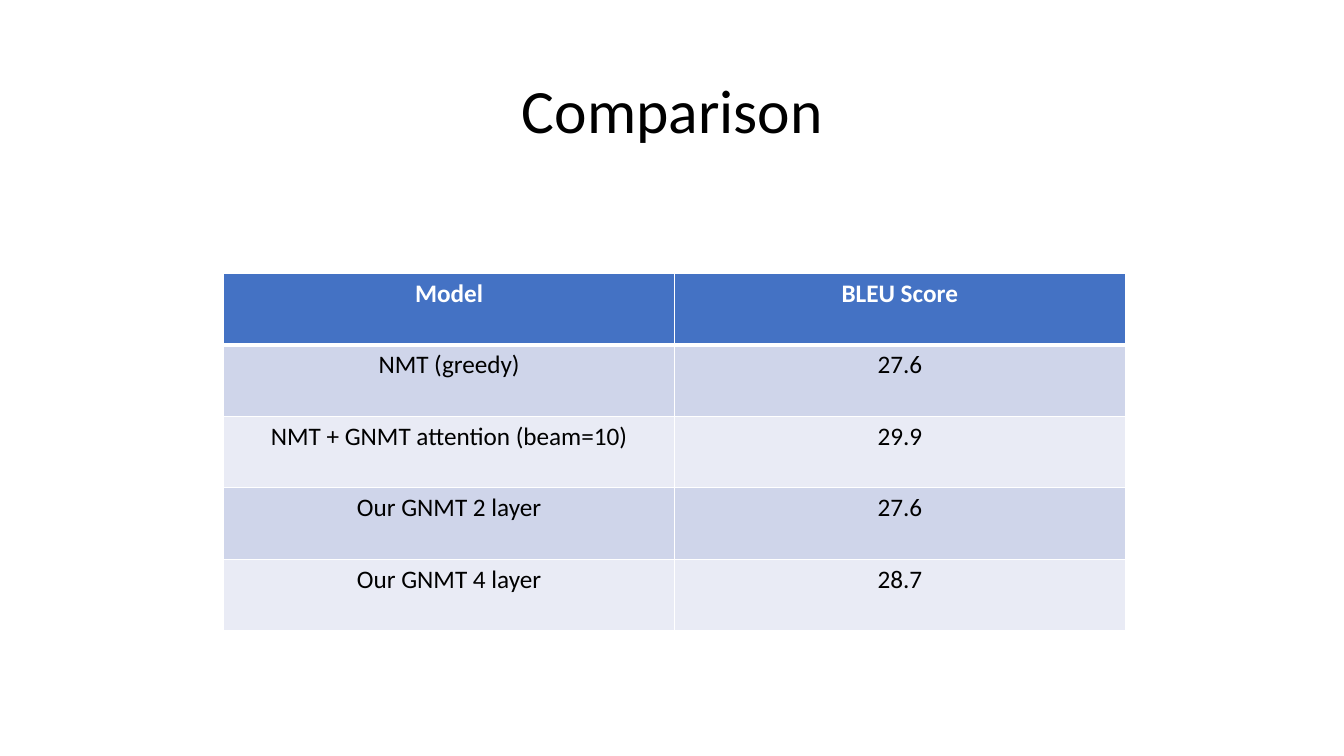
from typing import NamedTuple

from lxml.etree import SubElement
from pptx import Presentation
from pptx.dml.color import RGBColor
from pptx.enum.text import MSO_ANCHOR, PP_ALIGN
from pptx.oxml.ns import qn
from pptx.util import Pt

CENTER = PP_ALIGN.CENTER
MIDDLE = MSO_ANCHOR.MIDDLE
PX = 9144  # EMU per px, 100 px to the inch
FONT = "Calibri"
WHITE, BLACK, BLUE = "FFFFFF", "000000", "4472C4"
BANDS = ("CFD5EA", "E9EBF5")
COL, ROW = 447, 71


class Score(NamedTuple):
    model: str
    bleu: str


class Look(NamedTuple):
    fill: str
    ink: str
    bold: bool
    top: int
    base: int


SCORES = [
    Score("Model", "BLEU Score"),
    Score("NMT (greedy)", "27.6"),
    Score("NMT + GNMT attention (beam=10)", "29.9"),
    Score("Our GNMT 2 layer", "27.6"),
    Score("Our GNMT 4 layer", "28.7"),
]


def color(code: str) -> RGBColor:
    return RGBColor.from_string(code)


def write(frame, text: str, size: int, ink: str, bold: bool = False) -> None:
    para = frame.paragraphs[0]
    para.alignment = CENTER
    run = para.add_run()
    run.text = text
    font = run.font
    font.name, font.size, font.bold = FONT, Pt(size), bold
    font.color.rgb = color(ink)


def edge(cell, side: str, width: int) -> None:
    """Draw one white border; call before the cell is filled."""
    props = cell._tc.get_or_add_tcPr()
    line = SubElement(props, qn(f"a:ln{side}"), w=str(Pt(width)))
    fill = SubElement(line, qn("a:solidFill"))
    SubElement(fill, qn("a:srgbClr"), val=WHITE)


def look(row: int) -> Look:
    if row == 0:
        return Look(BLUE, WHITE, True, 1, 3)
    return Look(BANDS[(row - 1) % 2], BLACK, False, 3 if row == 1 else 1, 1)


def paint(cell, text: str, style: Look) -> None:
    for side, width in zip("LRTB", (1, 1, style.top, style.base)):
        edge(cell, side, width)
    cell.fill.solid()
    cell.fill.fore_color.rgb = color(style.fill)
    write(cell.text_frame, text, 18, style.ink, style.bold)


def add_title(slide) -> None:
    title = slide.shapes.title
    title.left, title.top = 92 * PX, 40 * PX
    title.width, title.height = 1150 * PX, 145 * PX
    frame = title.text_frame
    frame.vertical_anchor = MIDDLE
    write(frame, "Comparison", 44, BLACK)
    frame.paragraphs[0].line_spacing = 0.9


def add_scores(slide) -> None:
    rows, cols = len(SCORES), len(Score._fields)
    table = slide.shapes.add_table(
        rows, cols, 222 * PX, 271 * PX, cols * COL * PX, rows * ROW * PX
    ).table
    for i, score in enumerate(SCORES):
        for j, text in enumerate(score):
            paint(table.cell(i, j), text, look(i))


def main() -> None:
    deck = Presentation()
    deck.slide_width, deck.slide_height = 1333 * PX, 750 * PX
    slide = deck.slides.add_slide(deck.slide_layouts.get_by_name("Title Only"))
    slide.background.fill.solid()
    slide.background.fill.fore_color.rgb = color(WHITE)
    add_title(slide)
    add_scores(slide)
    deck.save("out.pptx")


if __name__ == "__main__":
    main()
